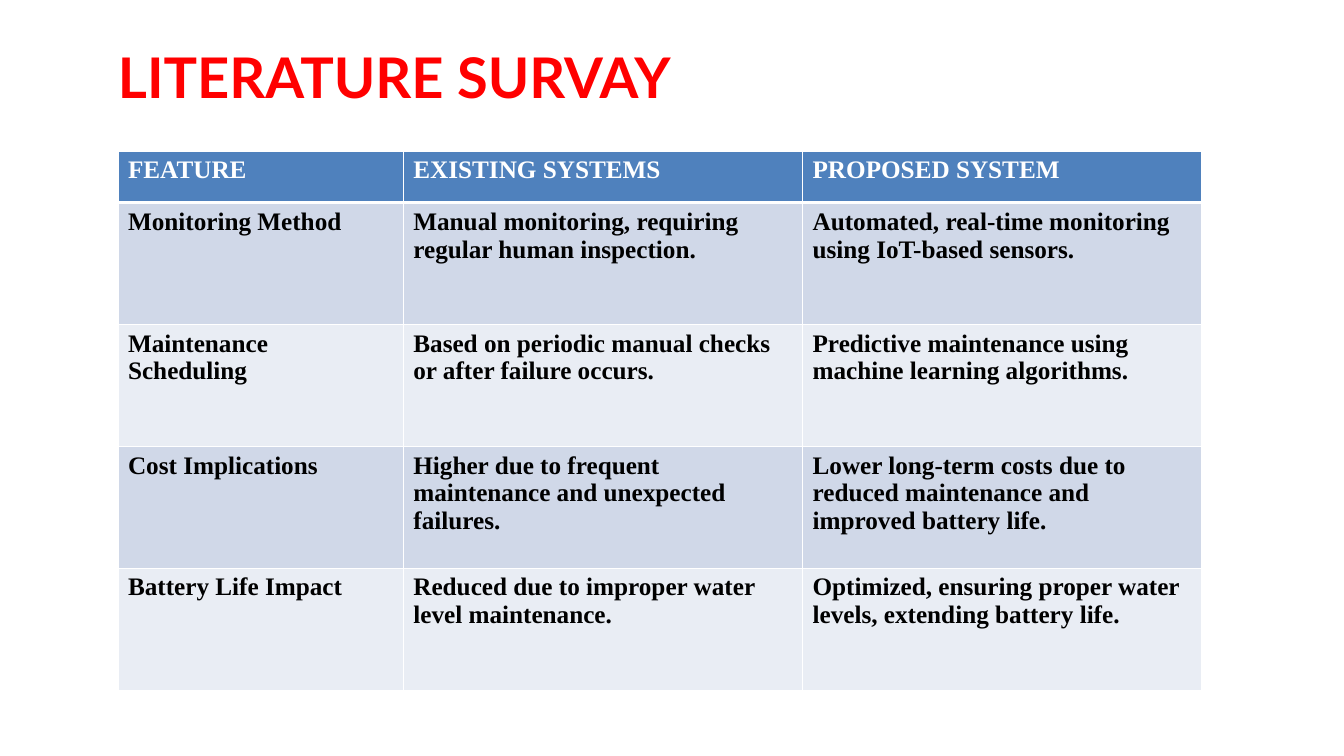
from dataclasses import dataclass

from lxml import etree
from pptx import Presentation
from pptx.dml.color import RGBColor
from pptx.enum import text
from pptx.oxml.ns import qn
from pptx.util import Inches, Pt

TITLE = "LITERATURE SURVAY"
ROWS = [
    ("FEATURE", "EXISTING SYSTEMS", "PROPOSED SYSTEM"),
    ("Monitoring Method",
     "Manual monitoring, requiring regular human inspection.",
     "Automated, real-time monitoring using IoT-based sensors."),
    ("Maintenance Scheduling",
     "Based on periodic manual checks or after failure occurs.",
     "Predictive maintenance using machine learning algorithms."),
    ("Cost Implications",
     "Higher due to frequent maintenance and unexpected failures.",
     "Lower long-term costs due to reduced maintenance and improved battery life."),
    ("Battery Life Impact",
     "Reduced due to improper water level maintenance.",
     "Optimized, ensuring proper water levels, extending battery life."),
]
COLUMN_WIDTHS = (2.83, 3.96, 3.96)
HEADER_HEIGHT, BODY_HEIGHT = 0.51, 1.21
LEFT = 1.17


@dataclass(frozen=True)
class Theme:
    title_font: str = "Lato"
    table_font: str = "Times New Roman"
    title_size: int = 40
    table_size: int = 18
    title_color: str = "FF0000"
    header_text: str = "FFFFFF"
    body_text: str = "000000"
    header_fill: str = "4F81BD"
    bands: tuple = ("D0D8E8", "E9EDF4")
    border: str = "FFFFFF"


THEME = Theme()


def write_text(frame, content, *, font, size, color, bold=True):
    paragraph = frame.paragraphs[0]
    paragraph.alignment = text.PP_ALIGN.LEFT
    run = paragraph.add_run()
    run.text = content
    run.font.name = font
    run.font.size = Pt(size)
    run.font.bold = bold
    run.font.color.rgb = RGBColor.from_string(color)


def set_borders(cell, **widths):
    """Draw cell borders; widths maps L, R, T and B to points."""
    properties = cell._tc.get_or_add_tcPr()
    for position, side in enumerate("LRTB"):
        line = etree.Element(qn(f"a:ln{side}"), w=str(Pt(widths.get(side, 1))))
        fill = etree.SubElement(line, qn("a:solidFill"))
        etree.SubElement(fill, qn("a:srgbClr"), val=THEME.border)
        properties.insert(position, line)


def add_title(slide):
    title = slide.shapes.title
    title.left, title.top = Inches(LEFT), Inches(0.42)
    title.width, title.height = Inches(10.5), Inches(0.67)
    frame = title.text_frame
    frame.margin_left = frame.margin_right = frame.margin_top = frame.margin_bottom = 0
    frame.vertical_anchor = text.MSO_ANCHOR.MIDDLE
    frame.auto_size = text.MSO_AUTO_SIZE.SHAPE_TO_FIT_TEXT
    write_text(frame, TITLE, font=THEME.title_font, size=THEME.title_size,
               color=THEME.title_color)


def add_comparison_table(slide):
    heights = [HEADER_HEIGHT] + [BODY_HEIGHT] * (len(ROWS) - 1)
    table = slide.shapes.add_table(
        len(ROWS), len(COLUMN_WIDTHS), Inches(LEFT), Inches(1.5),
        Inches(sum(COLUMN_WIDTHS)), Inches(sum(heights))).table
    for column, width in zip(table.columns, COLUMN_WIDTHS):
        column.width = Inches(width)
    for row_index, (row, height, contents) in enumerate(zip(table.rows, heights, ROWS)):
        row.height = Inches(height)
        is_header = row_index == 0
        fill = THEME.header_fill if is_header else THEME.bands[(row_index - 1) % 2]
        color = THEME.header_text if is_header else THEME.body_text
        for cell, content in zip(row.cells, contents):
            cell.fill.solid()
            cell.fill.fore_color.rgb = RGBColor.from_string(fill)
            set_borders(cell, B=3 if is_header else 1, T=3 if row_index == 1 else 1)
            write_text(cell.text_frame, content, font=THEME.table_font,
                       size=THEME.table_size, color=color)


def main():
    presentation = Presentation()
    presentation.slide_width, presentation.slide_height = Inches(13.33), Inches(7.5)
    slide = presentation.slides.add_slide(presentation.slide_layouts[5])
    add_title(slide)
    add_comparison_table(slide)
    presentation.save("out.pptx")


if __name__ == "__main__":
    main()
